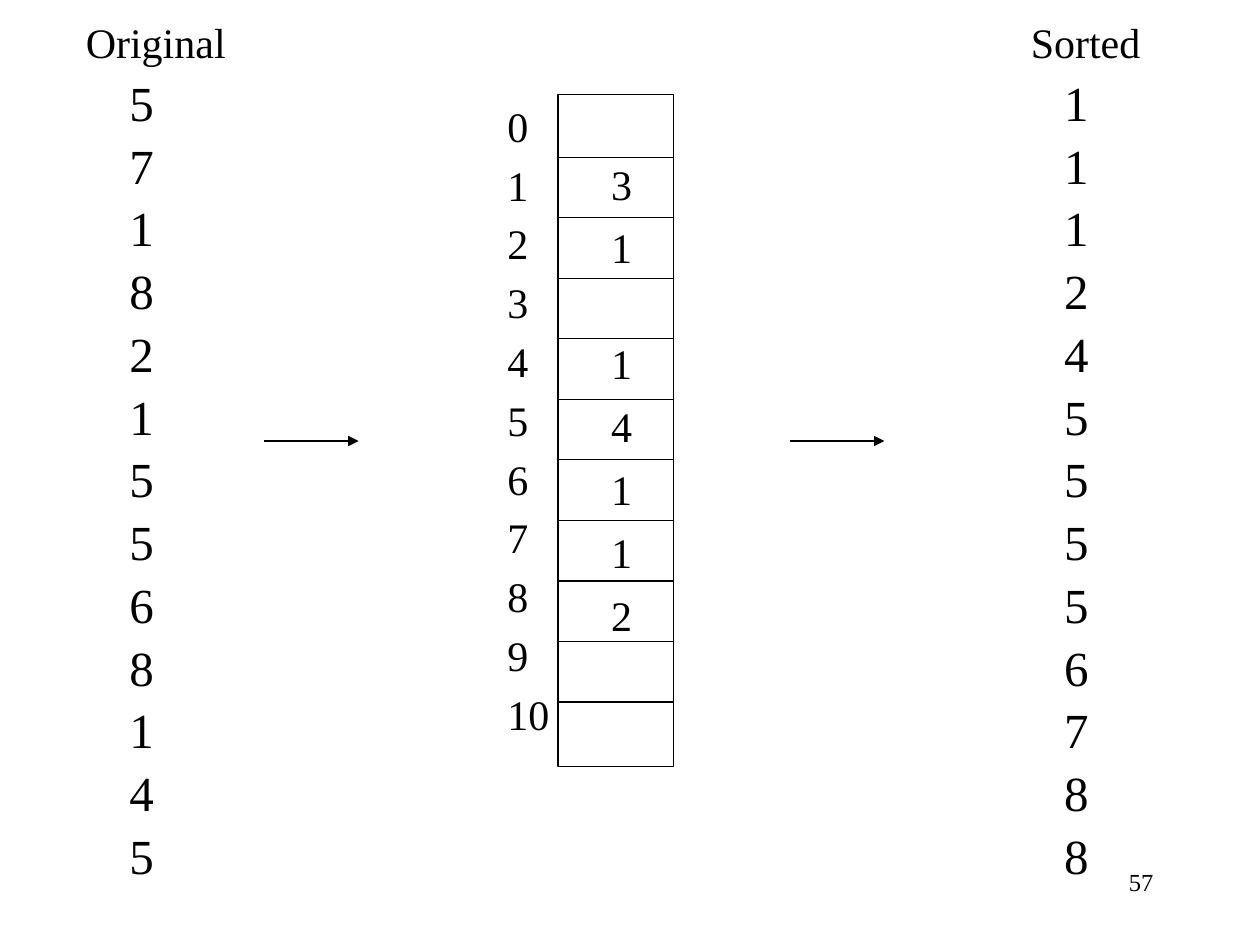
from collections import Counter

from lxml import etree
from pptx import Presentation
from pptx.dml.color import RGBColor
from pptx.enum.shapes import MSO_CONNECTOR, MSO_SHAPE
from pptx.enum.text import MSO_AUTO_SIZE, PP_ALIGN
from pptx.oxml.ns import qn
from pptx.util import Cm, Pt

BLACK = RGBColor(0, 0, 0)
FONT = "Times New Roman"
STRAIGHT = MSO_CONNECTOR.STRAIGHT
RECTANGLE = MSO_SHAPE.RECTANGLE
RIGHT = PP_ALIGN.RIGHT
GROW = MSO_AUTO_SIZE.SHAPE_TO_FIT_TEXT

VALUES = [5, 7, 1, 8, 2, 1, 5, 5, 6, 8, 1, 4, 5]
SLOTS = 11
LINE_WIDTH = Pt(0.75)


def add_text(page, lines, left, top, width, height, size=24, wrap=True,
             grow=False, align=None, spacing=None, before=None):
    """Write one paragraph per line; lengths are in centimetres."""
    box = page.shapes.add_textbox(Cm(left), Cm(top), Cm(width), Cm(height))
    frame = box.text_frame
    frame.word_wrap = wrap
    if grow:
        frame.auto_size = GROW
    frame.text = "\n".join(str(line) for line in lines)
    for para in frame.paragraphs:
        para.font.name = FONT
        para.font.size = Pt(size)
        para.font.color.rgb = BLACK
        para.alignment = align
        para.line_spacing = spacing
        if before:
            para.space_before = Pt(before)


def add_label(page, text, left, top, width):
    add_text(page, [text], left, top, width, 1.27, wrap=False, grow=True)


def add_line(page, left, top, width, arrow=False):
    line = page.shapes.add_connector(
        STRAIGHT, Cm(left), Cm(top), Cm(left + width), Cm(top))
    line.line.color.rgb = BLACK
    line.line.width = LINE_WIDTH
    if arrow:
        etree.SubElement(line.line._get_or_add_ln(), qn("a:tailEnd"), type="triangle")
    etree.SubElement(line._element.spPr, qn("a:effectLst"))


def add_number_column(page, title, numbers, left, title_left, title_width):
    add_text(page, numbers, left, 1.47, 1.7, 16.94, size=28,
             spacing=0.9, before=5.6)
    add_label(page, title, title_left, 0.2, title_width)


def add_count_array(page, counts, left, top, width, height):
    """Draw the numbered slots and the count held in each used one."""
    add_text(page, range(SLOTS), left - 1.27, top, 3.6, 13.44,
             grow=True, before=4.8)
    frame = page.shapes.add_shape(RECTANGLE, Cm(left), Cm(top), Cm(width), Cm(height))
    frame.shadow.inherit = False
    frame.fill.background()
    frame.line.color.rgb = BLACK
    frame.line.width = LINE_WIDTH
    for divider in range(SLOTS - 1):
        add_line(page, left, top + 1.27 + 1.22 * divider, width)
    for slot, count in sorted(counts.items()):
        # Counts after the empty slot 3 sit slightly higher.
        offset = -0.1 if slot < 3 else -0.3
        add_label(page, count, left + 0.82, top + offset + 1.27 * slot, 0.94)


def main():
    deck = Presentation()
    deck.slide_width, deck.slide_height = Cm(25.4), Cm(19.05)
    page = deck.slides.add_slide(deck.slide_layouts[6])

    add_text(page, [57], 19.05, 17.35, 4.45, 1.27, size=14, align=RIGHT)
    add_number_column(page, "Original", VALUES, 2.36, 1.48, 3.4)
    add_count_array(page, Counter(VALUES), 11.25, 1.9, 2.33, 13.55)
    for left in (5.33, 15.93):
        add_line(page, left, 8.89, 1.9, arrow=True)
    add_number_column(page, "Sorted", sorted(VALUES), 21.2, 20.53, 2.76)

    deck.save("out.pptx")


if __name__ == "__main__":
    main()
